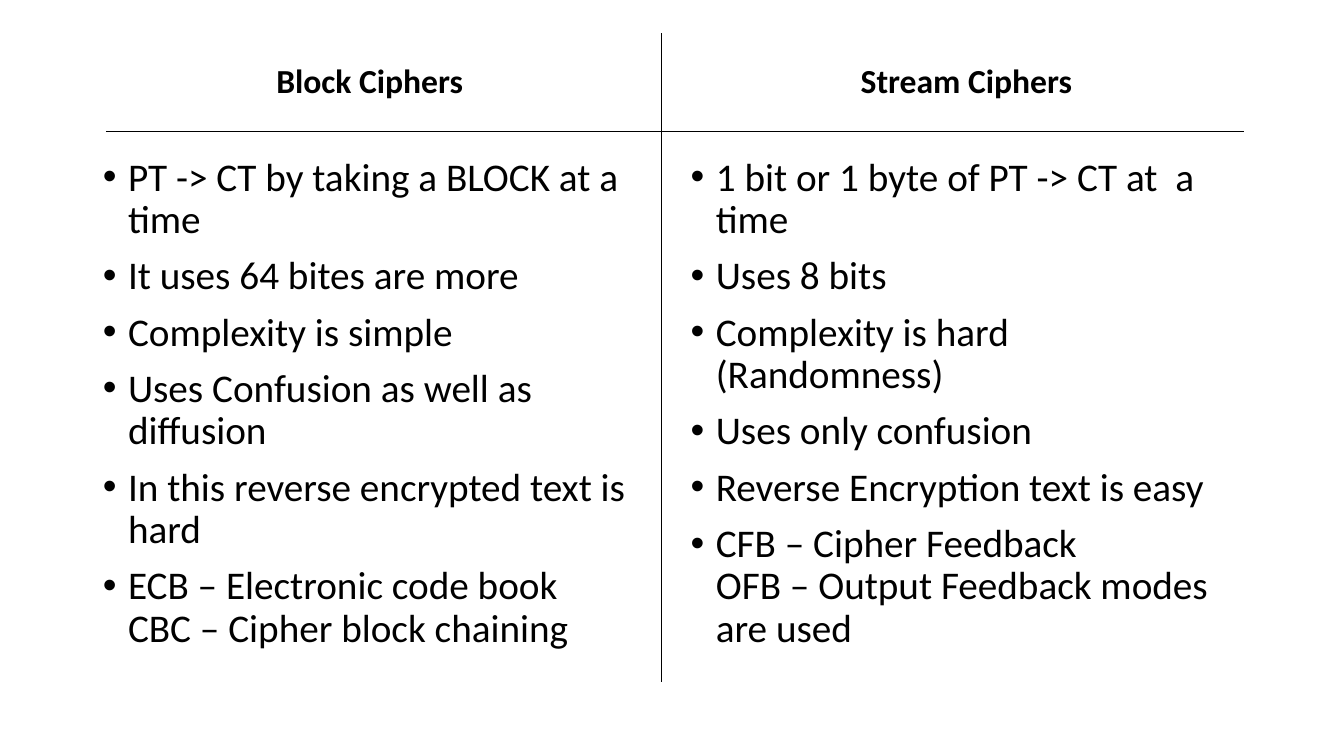
import dataclasses

import lxml.etree
import pptx
import pptx.dml.color
import pptx.enum.shapes
import pptx.enum.text
import pptx.oxml.ns
import pptx.util

EMU_PER_PX = 9144  # 100 px to the inch


@dataclasses.dataclass(frozen=True)
class Theme:
    font: str = "Calibri"
    ink: pptx.dml.color.RGBColor = pptx.dml.color.RGBColor(0, 0, 0)
    background: pptx.dml.color.RGBColor = pptx.dml.color.RGBColor(255, 255, 255)
    heading_size: int = 24
    point_size: int = 28
    rule_width: float = 0.5
    line_spacing: float = 0.9
    point_gap: int = 10


THEME = Theme()

BLOCK_HEADING = "Block Ciphers\t"
BLOCK_POINTS = [
    "PT -> CT by taking a BLOCK at a time",
    "It uses 64 bites are more",
    "Complexity is simple",
    "Uses Confusion as well as diffusion",
    "In this reverse encrypted text is hard\t",
    "ECB – Electronic code book\nCBC – Cipher block chaining",
]
STREAM_HEADING = "Stream Ciphers"
STREAM_POINTS = [
    "1 bit or 1 byte of PT -> CT at  a time",
    "Uses 8 bits",
    "Complexity is hard (Randomness)",
    "Uses only confusion",
    "Reverse Encryption text is easy",
    "CFB – Cipher Feedback\nOFB – Output Feedback modes are used",
]


def px(length):
    return pptx.util.Emu(length * EMU_PER_PX)


def place(placeholder, left, top, width, height, anchor):
    placeholder.left, placeholder.top = px(left), px(top)
    placeholder.width, placeholder.height = px(width), px(height)
    frame = placeholder.text_frame
    frame.word_wrap = True
    frame.auto_size = pptx.enum.text.MSO_AUTO_SIZE.NONE
    frame.vertical_anchor = anchor
    return frame


def style(paragraph, size, bold, space_before=0):
    paragraph.line_spacing = THEME.line_spacing
    paragraph.space_before = pptx.util.Pt(space_before)
    for run in paragraph.runs:
        run.font.name = THEME.font
        run.font.size = pptx.util.Pt(size)
        run.font.bold = bold
        run.font.color.rgb = THEME.ink


def add_bullet(paragraph):
    properties = paragraph._p.get_or_add_pPr()
    properties.set("marL", str(px(25)))
    properties.set("indent", str(px(-25)))
    for tag, key, value in (("a:buFont", "typeface", "Arial"), ("a:buChar", "char", "•")):
        lxml.etree.SubElement(properties, pptx.oxml.ns.qn(tag)).set(key, value)


def cipher_column(heading_holder, points_holder, heading, points, left, top, width):
    """Place a heading and, below it, its bulleted points."""
    frame = place(heading_holder, left, top, width, 90,
                  pptx.enum.text.MSO_ANCHOR.BOTTOM)
    frame.text = heading
    frame.paragraphs[0].alignment = pptx.enum.text.PP_ALIGN.CENTER
    style(frame.paragraphs[0], THEME.heading_size, True)

    frame = place(points_holder, left, top + 136, width, 526,
                  pptx.enum.text.MSO_ANCHOR.TOP)
    for index, point in enumerate(points):
        paragraph = frame.add_paragraph() if index else frame.paragraphs[0]
        paragraph.text = point
        add_bullet(paragraph)
        style(paragraph, THEME.point_size, False, THEME.point_gap if index else 0)


def add_rule(slide, x1, y1, x2, y2):
    rule = slide.shapes.add_connector(
        pptx.enum.shapes.MSO_CONNECTOR.STRAIGHT, px(x1), px(y1), px(x2), px(y2))
    rule.line.color.rgb = THEME.ink
    rule.line.width = pptx.util.Pt(THEME.rule_width)
    lxml.etree.SubElement(rule._element.spPr, pptx.oxml.ns.qn("a:effectLst"))


def comparison_slide(deck):
    slide = deck.slides.add_slide(deck.slide_layouts.get_by_name("Comparison"))
    slide.background.fill.solid()
    slide.background.fill.fore_color.rgb = THEME.background
    title, block_heading, block_points, stream_heading, stream_points = slide.placeholders
    title._element.getparent().remove(title._element)

    cipher_column(block_heading, block_points, BLOCK_HEADING, BLOCK_POINTS, 92, 15, 564)
    cipher_column(stream_heading, stream_points, STREAM_HEADING, STREAM_POINTS, 675, 15, 567)
    add_rule(slide, 656, 33, 656, 677)
    add_rule(slide, 105, 130, 1234, 130)


def main():
    deck = pptx.Presentation()
    deck.slide_width, deck.slide_height = px(1333), px(750)
    comparison_slide(deck)
    deck.save("out.pptx")


if __name__ == "__main__":
    main()
